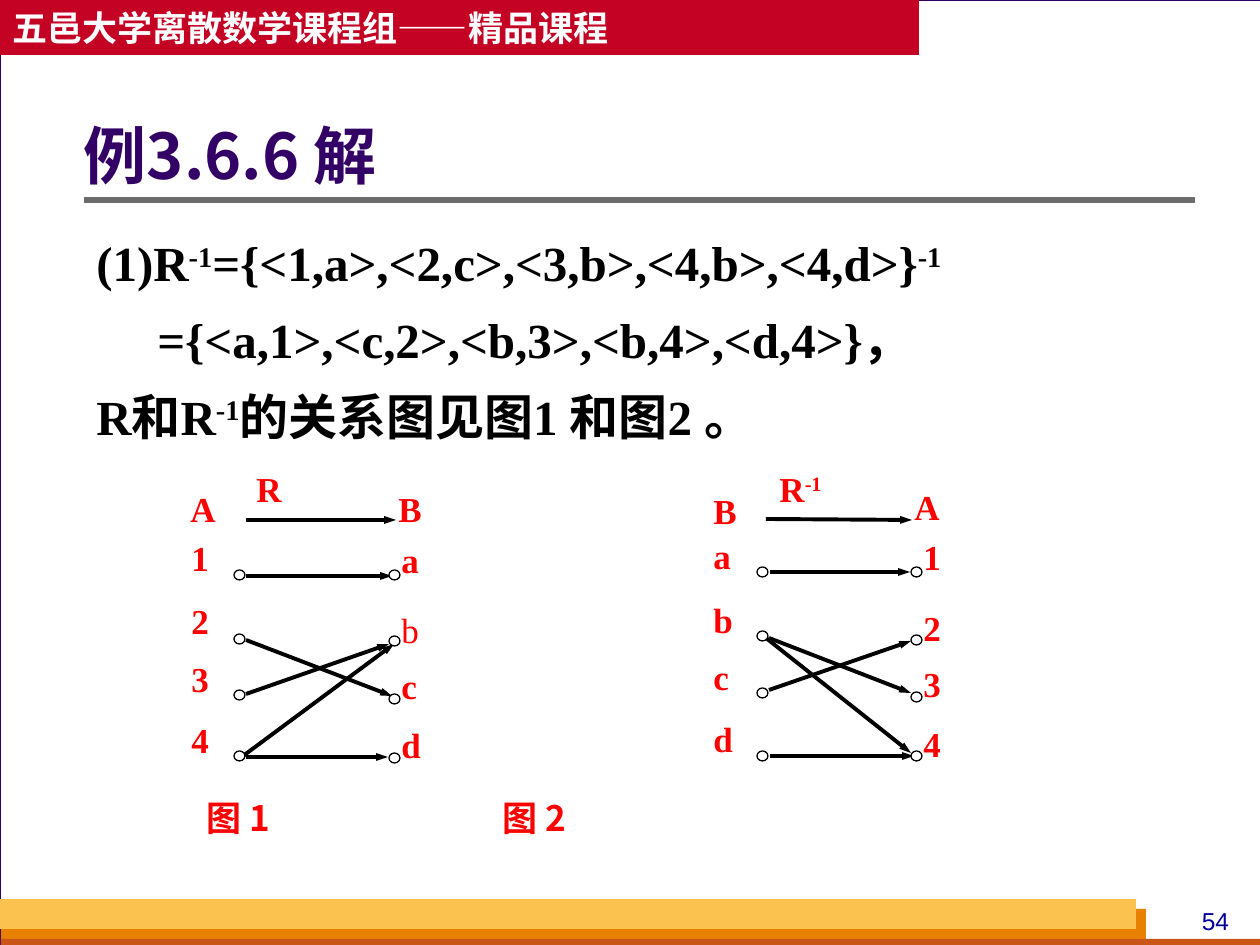
from lxml import etree
from pptx import Presentation
from pptx.dml.color import RGBColor
from pptx.enum.shapes import MSO_CONNECTOR, MSO_SHAPE
from pptx.enum.text import MSO_ANCHOR, PP_ALIGN
from pptx.oxml.ns import qn
from pptx.util import Pt

STRAIGHT = MSO_CONNECTOR.STRAIGHT
RECTANGLE, OVAL = MSO_SHAPE.RECTANGLE, MSO_SHAPE.OVAL
LEFT, CENTER, JUSTIFY = PP_ALIGN.LEFT, PP_ALIGN.CENTER, PP_ALIGN.JUSTIFY
TOP, MIDDLE = MSO_ANCHOR.TOP, MSO_ANCHOR.MIDDLE
PX = 914400 / 126
SERIF, SANS = "Times New Roman", "Noto Sans CJK SC"
RED, BLACK, WHITE, PURPLE = "FF0000", "000000", "FFFFFF", "330066"


def write(box, text, size=20, font=SERIF, color=RED, bold=True, align=JUSTIFY,
          anchor=TOP, wrap=True, spacing=None, before=0, indent=0):
    frame = box.text_frame
    frame.word_wrap = wrap
    frame.vertical_anchor = anchor
    para = frame.paragraphs[0]
    if para.runs:
        para = frame.add_paragraph()
    para.alignment = align
    para.line_spacing = spacing
    para.space_before = Pt(before)
    if indent:
        para._p.get_or_add_pPr().set("marL", str(round(indent * PX)))
    for index, piece in enumerate(text.split("^")):
        span = para.add_run()
        span.text = piece
        span.font.size = Pt(size)
        span.font.bold = bold
        span.font.name = font
        span.font.color.rgb = RGBColor.from_string(color)
        properties = span._r.get_or_add_rPr()
        etree.SubElement(properties, qn("a:ea")).set("typeface", SANS)
        if index % 2:
            properties.set("baseline", "30000")


def draw(kind, bounds, fill=None, line=None, width=0.75):
    lengths = [round(value * PX) for value in bounds]
    if kind is None:
        return page.shapes.add_textbox(*lengths)
    if kind is STRAIGHT:
        shape = page.shapes.add_connector(kind, *lengths)
        etree.SubElement(shape._element.spPr, qn("a:effectLst"))
    else:
        shape = page.shapes.add_shape(kind, *lengths)
        shape.shadow.inherit = False
        shape.fill.solid()
        shape.fill.fore_color.rgb = RGBColor.from_string(fill)
    if line:
        shape.line.color.rgb = RGBColor.from_string(line)
        shape.line.width = Pt(width)
    else:
        shape.line.fill.background()
    return shape


deck = Presentation()
deck.slide_width, deck.slide_height = round(1260 * PX), round(945 * PX)
page = deck.slides.add_slide(deck.slide_layouts[5])
page.background.fill.solid()
page.background.fill.fore_color.rgb = RGBColor.from_string("D8DADA")

draw(RECTANGLE, (0, 0, 1261, 945), WHITE, PURPLE)
for bounds, fill in [
    ((1, 909, 1145, 36), "E88000"),
    ((1, 939, 1260, 10), "C95616"),
    ((0, 899, 1136, 30), "FCC24F"),
]:
    draw(RECTANGLE, bounds, fill)
number = draw(None, (1176, 900, 79, 43))
write(number, "54", size=14, font="Arial", color="000099", bold=False, align=CENTER)
draw(STRAIGHT, (84, 200, 1195, 200), line="6B6B6B", width=3)
banner = draw(RECTANGLE, (0, 0, 919, 55), "C30224")
write(banner, "五邑大学离散数学课程组——精品课程", font=SANS, color=WHITE,
      align=LEFT, anchor=MIDDLE, wrap=False)

title = page.shapes.title
title.left, title.top, title.width, title.height = [
    round(value * PX) for value in (84, 96, 1111, 127)]
title.text_frame.margin_left = 0
write(title, "例3.6.6 解", size=36, font=SANS, color=PURPLE, align=LEFT,
      anchor=MIDDLE, spacing=0.9)
page.shapes._spTree.append(title._element)

solution = draw(None, (84, 215, 1111, 632))
for text, indent in [
    ("(1)R^-1^={<1,a>,<2,c>,<3,b>,<4,b>,<4,d>}^-1", 0),
    ("={<a,1>,<c,2>,<b,3>,<b,4>,<d,4>}，", 61),
    ("R和R^-1^的关系图见图1 和图2 。", 0),
]:
    write(solution, text, size=28, color=BLACK, align=LEFT, spacing=1.2,
          before=3.5, indent=indent)

arrows = [
    (246, 520, 396, 520), (246, 576, 392, 576), (246, 640, 392, 696),
    (246, 694, 389, 644), (243, 756, 394, 644), (246, 757, 388, 757),
    (766, 519, 912, 520), (770, 572, 910, 572), (769, 638, 911, 693),
    (766, 638, 911, 753), (769, 690, 911, 641), (770, 756, 914, 756),
]
for ends in arrows:
    arrow = draw(STRAIGHT, ends, line=BLACK, width=2.25)
    head = etree.SubElement(arrow.line._get_or_add_ln(), qn("a:tailEnd"))
    for key, value in (("type", "triangle"), ("w", "sm"), ("len", "med")):
        head.set(key, value)

columns = [
    (234, 179, "1234", (570, 634, 690, 751), (530, 593, 651, 712)),
    (389, 389, "abcd", (570, 636, 694, 753), (532, 602, 658, 717)),
    (757, 701, "abcd", (567, 631, 688, 751), (528, 592, 649, 711)),
    (911, 911, "1234", (567, 635, 692, 751), (529, 600, 656, 716)),
]
for node_left, label_left, names, node_tops, label_tops in columns:
    for name, node_top, label_top in zip(names, node_tops, label_tops):
        draw(OVAL, (node_left, node_top, 11, 10), WHITE, BLACK)
        label = draw(None, (label_left, label_top, 73, 79))
        write(label, name, bold=(node_left, name) != (389, "b"))

for text, left, top, font in [
    ("R", 244, 461, SERIF), ("R^-1", 767, 461, SERIF),
    ("A", 178, 481, SERIF), ("B", 386, 481, SERIF),
    ("B", 701, 483, SERIF), ("A", 902, 479, SERIF),
    ("图 1", 194, 790, SANS), ("图 2", 490, 790, SANS),
]:
    write(draw(None, (left, top, 110, 79)), text, font=font)

deck.save("out.pptx")
